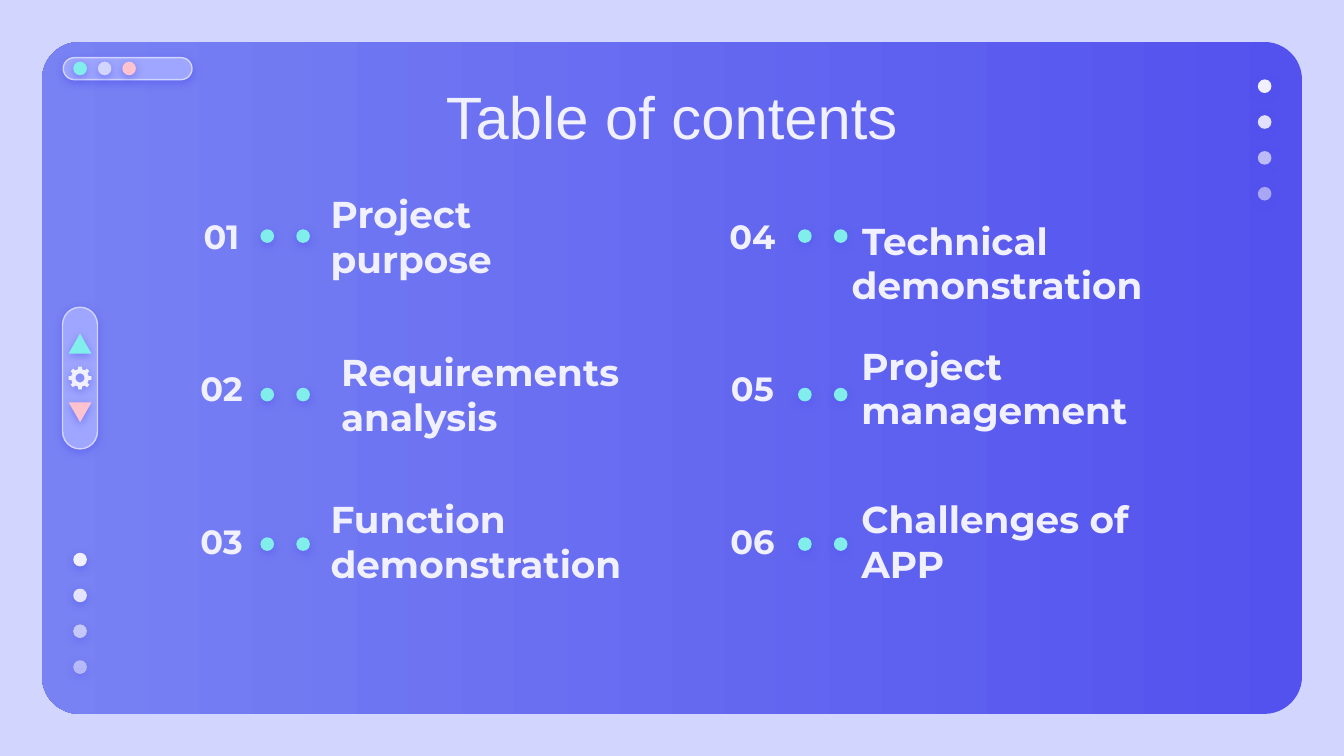
from math import cos, pi, sin

from lxml.etree import SubElement as Sub
from pptx import Presentation
from pptx.dml.color import RGBColor as RGB
from pptx.enum.shapes import MSO_SHAPE as Geo
from pptx.enum.text import MSO_ANCHOR as Anchor, PP_ALIGN as Align
from pptx.oxml.ns import qn
from pptx.util import Pt

PALE = RGB(0xD2, 0xD6, 0xFF)
DEEP = RGB(0x53, 0x52, 0xEE)
SOFT = RGB(0x78, 0x82, 0xF3)
LILAC = RGB(0x9E, 0xA6, 0xFF)
AQUA = RGB(0x81, 0xEE, 0xEB)
PINK = RGB(0xFF, 0xC3, 0xD0)
WHITE = RGB(0xF1, 0xF0, 0xFF)

DOT = 7.3    # dot diameter
STEP = 19.2  # gap between dot centres
FADE = (100, 90, 67, 54)


class Deck:
    def __init__(self):
        self.prs = Presentation()
        self.prs.slide_width, self.prs.slide_height = Pt(720), Pt(405)
        self.slide = self.prs.slides.add_slide(self.prs.slide_layouts[6])
        back = self.slide.background.fill
        back.solid()
        back.fore_color.rgb = PALE

    def paint(self, shape, color, alpha=100):
        """Plain fill, no outline, soft shadow below."""
        shape.fill.solid()
        shape.fill.fore_color.rgb = color
        shape.line.fill.background()
        if alpha < 100:
            tint = shape.fill._xPr.find(".//" + qn("a:srgbClr"))
            Sub(tint, qn("a:alpha"), val=str(alpha * 1000))
        shape.shadow.inherit = False
        effect = shape._element.spPr.find(qn("a:effectLst"))
        glow = Sub(effect, qn("a:outerShdw"), blurRad=str(Pt(4.5)), dist=str(Pt(1.5)),
                   dir="5400000", algn="bl", rotWithShape="0")
        shade = Sub(glow, qn("a:srgbClr"), val=str(DEEP))
        Sub(shade, qn("a:alpha"), val="50000")

    def shape(self, geo, x, y, w, h, color, alpha=100, turn=0):
        item = self.slide.shapes.add_shape(geo, Pt(x), Pt(y), Pt(w), Pt(h))
        item.rotation = turn
        self.paint(item, color, alpha)
        return item

    def panel(self):
        card = self.slide.shapes.add_shape(
            Geo.ROUNDED_RECTANGLE, Pt(22.5), Pt(22.5), Pt(675), Pt(360))
        card.adjustments[0] = 0.056
        card.shadow.inherit = False
        card.line.fill.background()
        card.fill.gradient()
        card.fill.gradient_angle = 180
        for stop, color in zip(card.fill.gradient_stops, (DEEP, SOFT)):
            stop.color.rgb = color

    def pill(self, x, y, w, h, turn=0):
        bar = self.shape(Geo.ROUNDED_RECTANGLE, x, y, w, h, LILAC, turn=turn)
        bar.adjustments[0] = 0.5
        bar.line.color.rgb = PALE
        bar.line.width = Pt(0.75)

    def dot(self, x, y, color, alpha=100):
        """Dot centred on x, y."""
        self.shape(Geo.OVAL, x - DOT / 2, y - DOT / 2, DOT, DOT, color, alpha)

    def trail(self, x, y):
        """Column of fading dots."""
        for i, alpha in enumerate(FADE):
            self.dot(x, y + i * STEP, WHITE, alpha)

    def gear(self, x, y, teeth=8):
        def ring(spots):
            return [(Pt(x + r * cos(a)), Pt(y + r * sin(a))) for r, a in spots]

        pitch = 2 * pi / teeth
        rim = ring([(r, (i + part) * pitch) for i in range(teeth)
                    for r, part in ((4.8, -0.27), (6.2, -0.2), (6.2, 0.2), (4.8, 0.27))])
        hole = ring([(2.4, -i * pi / 16) for i in range(32)])
        form = self.slide.shapes.build_freeform(*rim[0])
        form.add_line_segments(rim[1:])
        form.move_to(*hole[0])
        form.add_line_segments(hole[1:])
        self.paint(form.convert_to_shape(), WHITE)

    def text(self, words, x, y, w, h, size, font="Montserrat", bold=True,
             align=Align.LEFT, anchor=Anchor.MIDDLE, indent=0):
        frame = self.slide.shapes.add_textbox(Pt(x), Pt(y), Pt(w), Pt(h)).text_frame
        frame.word_wrap = True
        frame.vertical_anchor = anchor
        frame.margin_left = frame.margin_right = Pt(7.2)
        frame.margin_top = frame.margin_bottom = Pt(7.2)
        frame.text = words
        par = frame.paragraphs[0]
        par.alignment = align
        if indent:
            par._p.get_or_add_pPr().set("indent", str(Pt(indent)))
        for run in par.runs:
            run.font.size = Pt(size)
            run.font.name = font
            run.font.bold = bold
            run.font.color.rgb = WHITE


def main():
    deck = Deck()

    # Window frame
    deck.panel()
    deck.pill(33.9, 30.9, 69, 11.8)
    for i, color in enumerate((AQUA, PALE, PINK)):
        deck.dot(42.9 + i * 13.15, 36.7, color)
    deck.trail(677.5, 46.2)
    deck.trail(42.9, 299.8)

    # Title
    deck.text("Table of contents", 56.7, 35.4, 606.6, 45, 32, font="Arial",
              bold=False, align=Align.CENTER, anchor=Anchor.TOP)

    # Contents: number left, dots left, then topic, x, y and first-line indent
    columns = (
        (84.2, 143.2, (("Project purpose", 170, 116.6, 0),
                       ("Requirements analysis", 175.7, 201.6, 0),
                       ("Function demonstration", 170, 280, 0))),
        (368.6, 431.2, (("Technical\vdemonstration", 449.2, 131, 5.5),
                        ("Project management", 454.3, 198, 0),
                        ("Challenges of APP", 454.3, 280, 0))),
    )
    rows = ((116.6, 126.5), (198.3, 211.4), (280, 291.5))
    count = 0
    for left, spot, topics in columns:
        for (top, mid), (topic, x, y, indent) in zip(rows, topics):
            count += 1
            deck.text(f"{count:02}", left, top, 69, 19.4, 18, align=Align.CENTER)
            deck.text(topic, x, y, 181.4, 19.4, 20, indent=indent)
            for i in range(2):
                deck.dot(spot + i * STEP, mid, AQUA)

    # Side control
    deck.pill(4.9, 193.2, 75.9, 18.7, turn=90)
    deck.shape(Geo.ISOSCELES_TRIANGLE, 36.8, 178.7, 12.2, 10.7, AQUA)
    deck.shape(Geo.ISOSCELES_TRIANGLE, 36.8, 215.5, 12.2, 10.7, PINK, turn=180)
    deck.gear(42.9, 202.5)

    deck.prs.save("out.pptx")


if __name__ == "__main__":
    main()
